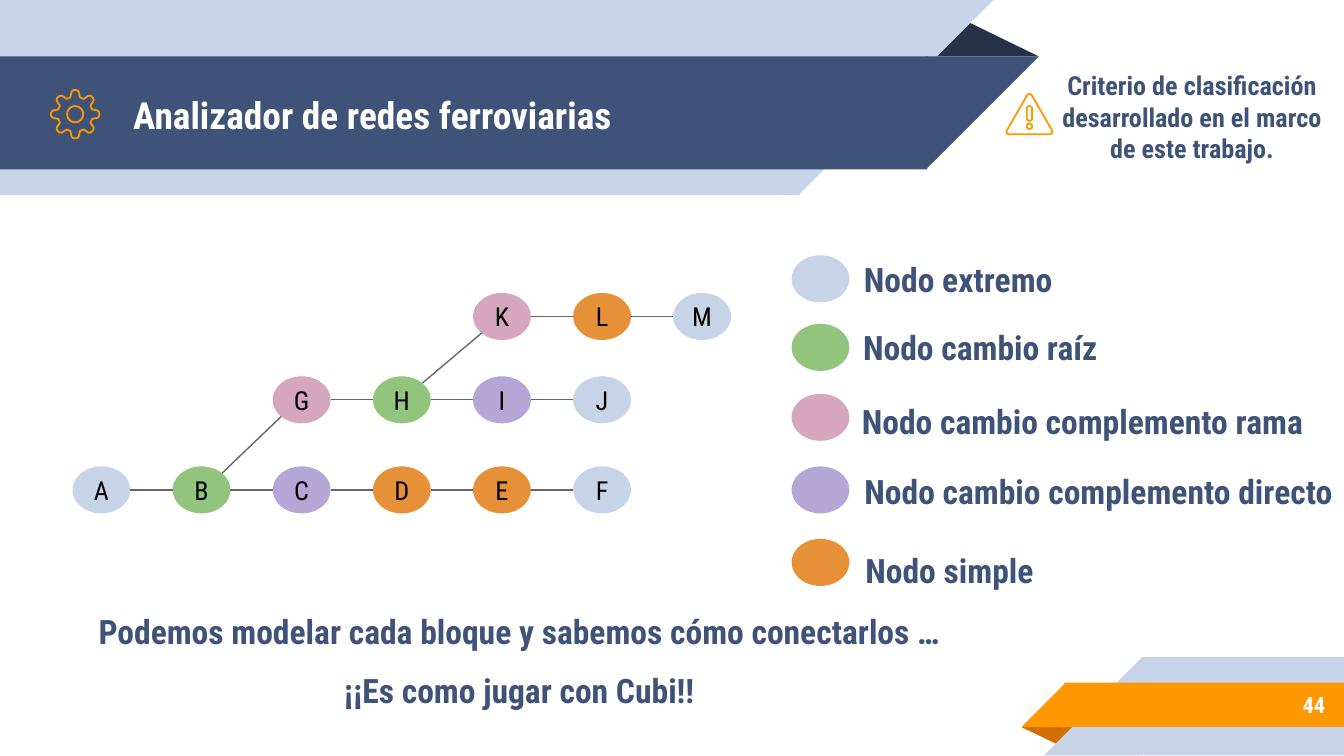
from math import cos, sin, radians, sqrt

from lxml import etree
from pptx import Presentation
from pptx.dml.color import RGBColor
from pptx.enum import shapes, text
from pptx.oxml.ns import qn
from pptx.util import Inches, Pt

THEME = {
    "font": "Roboto Condensed",
    "navy": "3F5378", "pale": "C7D3E6", "night": "263248",
    "orange": "FF9800", "rust": "D26F00",
    "white": "FFFFFF", "black": "000000", "edge": "666666",
    "end": "C7D3E6", "root": "93C47D", "branch": "D5A6BD",
    "direct": "B4A7D6", "simple": "E69138",
    "title": 20, "body": 18, "small": 14, "number": 12,
}
SHAPE = shapes.MSO_SHAPE
ALIGN = text.PP_ALIGN

TITLE = "Analizador de redes ferroviarias"
CLOSING = ["Podemos modelar cada bloque y sabemos cómo conectarlos …",
           "¡¡Es como jugar con Cubi!!"]
CRITERION = "Criterio de clasificación desarrollado en el marco de este trabajo."
PAGE = "44"

# preset, colour, box, rotation, mirrored; rectangles overlap their tips by 0.01
RIBBONS = [
    (SHAPE.ISOSCELES_TRIANGLE, "night", (6.88, 0.14, 0.85, 0.28), 0, False),
    (SHAPE.RECTANGLE, "pale", (0, 0, 5.95, 1.45), 180, True),
    (SHAPE.RIGHT_TRIANGLE, "pale", (5.94, 0, 1.45, 1.45), 180, True),
    (SHAPE.RECTANGLE, "navy", (0, 0.42, 6.9, 0.84), 180, True),
    (SHAPE.RIGHT_TRIANGLE, "navy", (6.89, 0.42, 0.84, 0.84), 180, True),
    (SHAPE.ISOSCELES_TRIANGLE, "rust", (7.6, 5.41, 0.43, 0.14), 180, False),
    (SHAPE.RECTANGLE, "pale", (8.49, 4.89, 1.51, 0.73), 0, True),
    (SHAPE.RIGHT_TRIANGLE, "pale", (7.77, 4.89, 0.73, 0.73), 0, True),
    (SHAPE.RECTANGLE, "orange", (7.92, 5.08, 2.08, 0.33), 0, True),
    (SHAPE.RIGHT_TRIANGLE, "orange", (7.6, 5.08, 0.33, 0.33), 0, True),
]

# top of the track, first column, (letter, kind) of each node
TRACKS = [
    (3.47, 0, [("A", "end"), ("B", "root"), ("C", "direct"),
               ("D", "simple"), ("E", "simple"), ("F", "end")]),
    (2.8, 2, [("G", "branch"), ("H", "root"), ("I", "direct"), ("J", "end")]),
    (2.18, 4, [("K", "branch"), ("L", "simple"), ("M", "end")]),
]
BRANCHES = ["BG", "HK"]
NODE_W, NODE_H = 0.43, 0.35
FIRST_X, LAST_X, LAST_COL = 0.54, 5.01, 6

# label, kind, top of the dot, box of the label
LEGEND_X = 5.89
LEGEND = [
    ("Nodo extremo", "end", 1.9, (6.25, 1.71, 1.76, 0.73)),
    ("Nodo cambio raíz", "root", 2.41, (6.31, 2.22, 1.97, 0.73)),
    ("Nodo cambio complemento rama", "branch", 2.93, (6.31, 2.77, 3.49, 0.73)),
    ("Nodo cambio complemento directo", "direct", 3.47, (6.31, 3.29, 3.73, 0.73)),
    ("Nodo simple", "simple", 4.01, (6.15, 3.88, 1.83, 0.73)),
]


def color(name):
    return RGBColor.from_string(THEME[name])


def place(sp, box):
    sp.left, sp.top, sp.width, sp.height = map(Inches, box)


def write(sp, lines, size, ink, align=ALIGN.CENTER, bold=True, wrap=True, gap=0):
    """Fill a shape with one formatted run per paragraph."""
    tf = sp.text_frame
    tf.word_wrap = wrap
    tf.auto_size = text.MSO_AUTO_SIZE.NONE
    tf.vertical_anchor = text.MSO_ANCHOR.MIDDLE
    tf.margin_left = tf.margin_right = tf.margin_top = tf.margin_bottom = Inches(0.1)
    for i, line in enumerate(lines):
        p = tf.add_paragraph() if i else tf.paragraphs[0]
        p.alignment = align
        p.space_before = Pt(gap if i else 0)
        if sp.is_placeholder:
            pPr = p._p.get_or_add_pPr()
            pPr.set("marL", "0")
            pPr.set("indent", "0")
            etree.SubElement(pPr, qn("a:buNone"))
        r = p.add_run()
        r.text = line
        r.font.name, r.font.size, r.font.bold = THEME["font"], Pt(THEME[size]), bold
        r.font.color.rgb = color(ink)


def add_text(slide, box, *args, **kwargs):
    write(slide.shapes.add_textbox(*map(Inches, box)), *args, **kwargs)


def add_filled(slide, preset, box, fill):
    sp = slide.shapes.add_shape(preset, *map(Inches, box))
    sp.shadow.inherit = False
    sp.fill.solid()
    sp.fill.fore_color.rgb = color(fill)
    sp.line.fill.background()
    return sp


def add_edge(slide, start, end):
    cx = slide.shapes.add_connector(shapes.MSO_CONNECTOR.STRAIGHT,
                                    *map(Inches, (*start, *end)))
    cx.line.color.rgb = color("edge")
    cx.line.width = Pt(0.75)
    etree.SubElement(cx._element.spPr, qn("a:effectLst"))


def add_outline(slide, contours):
    """Draw closed contours, given in inches, as one unfilled icon."""
    contours = [[(Inches(x), Inches(y)) for x, y in c] for c in contours]
    fb = slide.shapes.build_freeform(*contours[0][0])
    for i, contour in enumerate(contours):
        if i:
            fb.move_to(*contour[0])
        fb.add_line_segments(contour[1:], close=True)
    sp = fb.convert_to_shape()
    sp.shadow.inherit = False
    sp.fill.background()
    sp.line.color.rgb = color("orange")
    sp.line.width = Pt(0.96)


def polar(center, radius, angle):
    a = radians(angle)
    return center[0] + radius * cos(a), center[1] + radius * sin(a)


def arc(center, radius, start, end, step=15):
    return [polar(center, radius, a) for a in range(start, end + 1, step)]


def add_gear(slide, center):
    tooth = [(-16, 0.13), (-9, 0.17), (-4, 0.18), (4, 0.18), (9, 0.17), (16, 0.13)]
    rim = [polar(center, r, turn + a) for turn in range(0, 360, 45) for a, r in tooth]
    add_outline(slide, [rim, arc(center, 0.06, 0, 345)])


def add_warning(slide, x):
    sign = (arc((x, 0.72), 0.02, 210, 330) + arc((x + 0.15, 0.98), 0.02, -30, 90)
            + arc((x - 0.15, 0.98), 0.02, 90, 210))
    bar = arc((x, 0.81), 0.02, 180, 360) + arc((x, 0.88), 0.02, 0, 180)
    add_outline(slide, [sign, arc((x, 0.94), 0.02, 0, 345), bar])


def add_network(slide):
    spots = {}
    step = (LAST_X - FIRST_X) / LAST_COL
    for top, first, nodes in TRACKS:
        for col, (letter, kind) in enumerate(nodes, first):
            x = FIRST_X + col * step
            spots[letter] = x + NODE_W / 2, top + NODE_H / 2
            node = add_filled(slide, SHAPE.OVAL, (x, top, NODE_W, NODE_H), kind)
            write(node, [letter], "small", "black", bold=False, wrap=False)

    def rim(letter, dx, dy):
        x, y = spots[letter]
        return x + dx * NODE_W / 2, y + dy * NODE_H / 2

    for _, _, nodes in TRACKS:
        for (a, _), (b, _) in zip(nodes, nodes[1:]):
            add_edge(slide, rim(a, 1, 0), rim(b, -1, 0))
    d = sqrt(0.5)
    for a, b in BRANCHES:
        add_edge(slide, rim(a, d, -d), rim(b, -d, d))


def main():
    prs = Presentation()
    prs.slide_width = Inches(10)
    prs.slide_height = prs.slide_width * 9 // 16
    slide = prs.slides.add_slide(prs.slide_layouts[1])
    title, body = slide.placeholders

    for preset, fill, box, turn, mirrored in RIBBONS:
        sp = add_filled(slide, preset, box, fill)
        sp.rotation = turn
        if mirrored:
            sp._element.spPr.xfrm.set("flipH", "1")
        if preset == SHAPE.ISOSCELES_TRIANGLE:
            sp.adjustments[0] = 0.324

    for sp, box in ((title, (0.89, 0.43, 6.01, 0.84)), (body, (0.59, 4.55, 6.55, 0.73))):
        place(sp, box)
        slide.shapes._spTree.append(sp._element)  # in front of the ribbons
    write(title, [TITLE], "title", "white", ALIGN.LEFT)
    write(body, CLOSING, "body", "navy", gap=10)

    add_text(slide, (8.33, 5.07, 1.63, 0.35), [PAGE], "number", "white", ALIGN.RIGHT)
    add_gear(slide, (0.56, 0.85))
    add_network(slide)
    for label, kind, top, box in LEGEND:
        add_filled(slide, SHAPE.OVAL, (LEGEND_X, top, NODE_W, NODE_H), kind)
        add_text(slide, box, [label], "body", "navy", wrap=False)
    add_text(slide, (7.74, 0.54, 2.26, 0.66), [CRITERION], "small", "navy")
    add_warning(slide, 7.66)
    prs.save("out.pptx")


if __name__ == "__main__":
    main()
